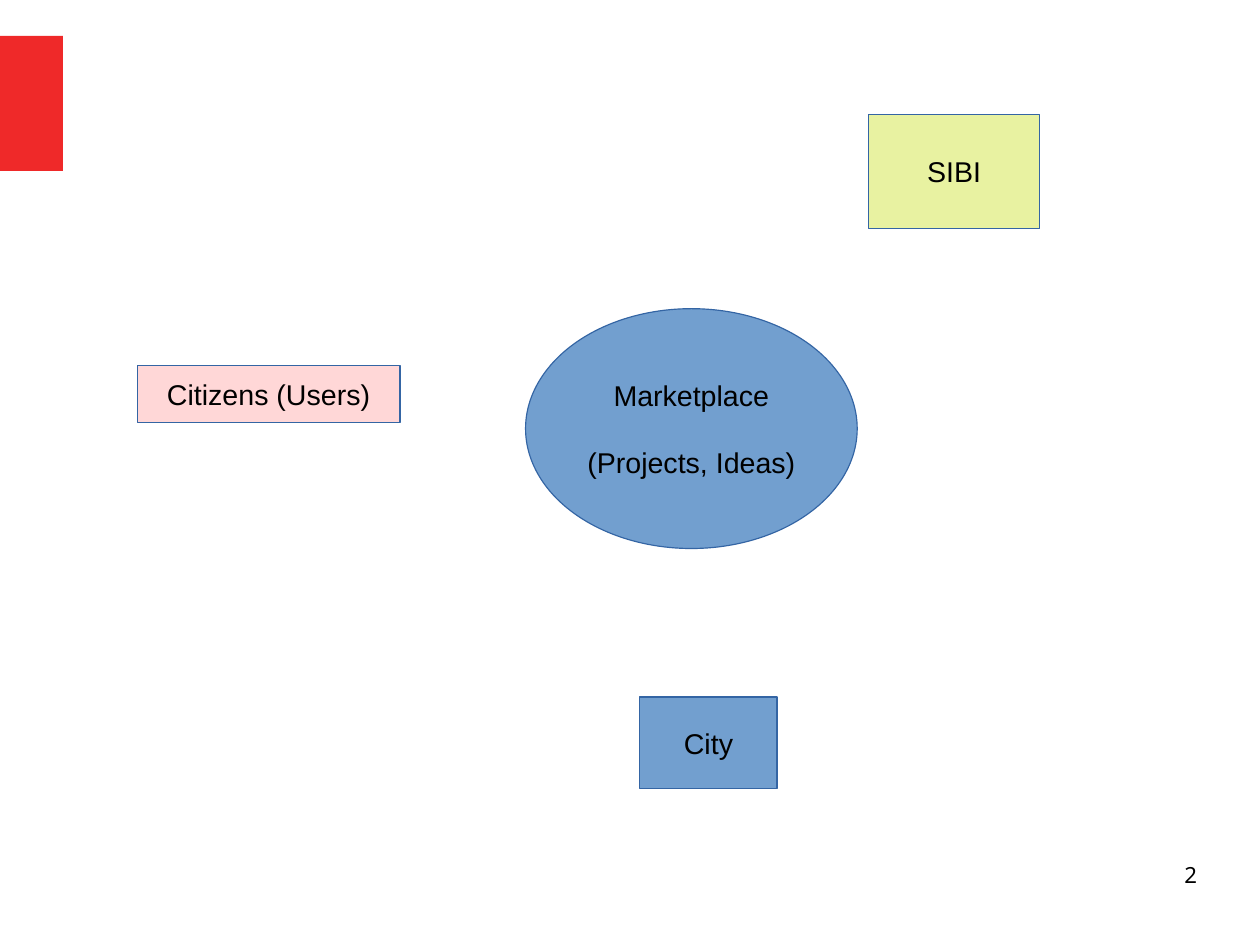
"""Build a slide that shows the marketplace and the parties around it."""
import pptx
import pptx.dml.color
import pptx.enum.shapes
import pptx.enum.text
import pptx.util

Cm = pptx.util.Cm
Pt = pptx.util.Pt
RGBColor = pptx.dml.color.RGBColor
Shape = pptx.enum.shapes.MSO_SHAPE
Align = pptx.enum.text.PP_ALIGN
Anchor = pptx.enum.text.MSO_ANCHOR

RED = RGBColor(0xEF, 0x29, 0x29)
LIME = RGBColor(0xE8, 0xF2, 0xA1)
PINK = RGBColor(0xFF, 0xD7, 0xD7)
BLUE = RGBColor(0x72, 0x9F, 0xCF)
OUTLINE = RGBColor(0x34, 0x65, 0xA4)
BLACK = RGBColor(0, 0, 0)

SLIDE_SIZE = (28, 21)
ACCENT_AREA = (0, 0.8, 1.4, 3)
NUMBER_AREA = (20.07, 19.13, 6.53, 1.45)
PAGE_NUMBER = "2"
PARTIES = [
    (["SIBI"], Shape.RECTANGLE, LIME, (19.3, 2.54, 3.81, 2.54)),
    (["Citizens (Users)"], Shape.RECTANGLE, PINK, (3.05, 8.13, 5.84, 1.27)),
    (["City"], Shape.RECTANGLE, BLUE, (14.22, 15.49, 3.05, 2.03)),
    (["Marketplace", "(Projects, Ideas)"], Shape.OVAL, BLUE, (11.68, 6.86, 7.37, 5.33)),
]


def write_text(frame, lines, font="Arial", size=18, align=Align.CENTER,
               anchor=Anchor.MIDDLE, wrap=False, gap=20.7):
    """Write one paragraph per line, with a gap between paragraphs."""
    frame.word_wrap = wrap
    frame.vertical_anchor = anchor
    for index, line in enumerate(lines):
        para = frame.add_paragraph() if index else frame.paragraphs[0]
        para.alignment = align
        para.space_before = Pt(gap if index else 0)
        span = para.add_run()
        span.text = line
        span.font.name = font
        span.font.size = Pt(size)
        span.font.color.rgb = BLACK


def add_block(page, kind, area, fill, outline=None):
    """Add a flat filled shape and return it."""
    block = page.shapes.add_shape(kind, *map(Cm, area))
    block.shadow.inherit = False
    block.fill.solid()
    block.fill.fore_color.rgb = fill
    if outline is None:
        block.line.fill.background()
    else:
        block.line.color.rgb = outline
        block.line.width = Pt(0)
    return block


def main():
    """Build the deck and save it."""
    deck = pptx.Presentation()
    deck.slide_width, deck.slide_height = map(Cm, SLIDE_SIZE)
    page = deck.slides.add_slide(deck.slide_layouts[6])

    add_block(page, Shape.RECTANGLE, ACCENT_AREA, RED)
    for lines, kind, fill, area in PARTIES:
        block = add_block(page, kind, area, fill, outline=OUTLINE)
        write_text(block.text_frame, lines)

    box = page.shapes.add_textbox(*map(Cm, NUMBER_AREA))
    frame = box.text_frame
    frame.margin_left = frame.margin_right = frame.margin_top = frame.margin_bottom = 0
    write_text(frame, [PAGE_NUMBER], font="Noto Sans", size=14,
               align=Align.RIGHT, anchor=Anchor.TOP, wrap=True)

    deck.save("out.pptx")


if __name__ == "__main__":
    main()
